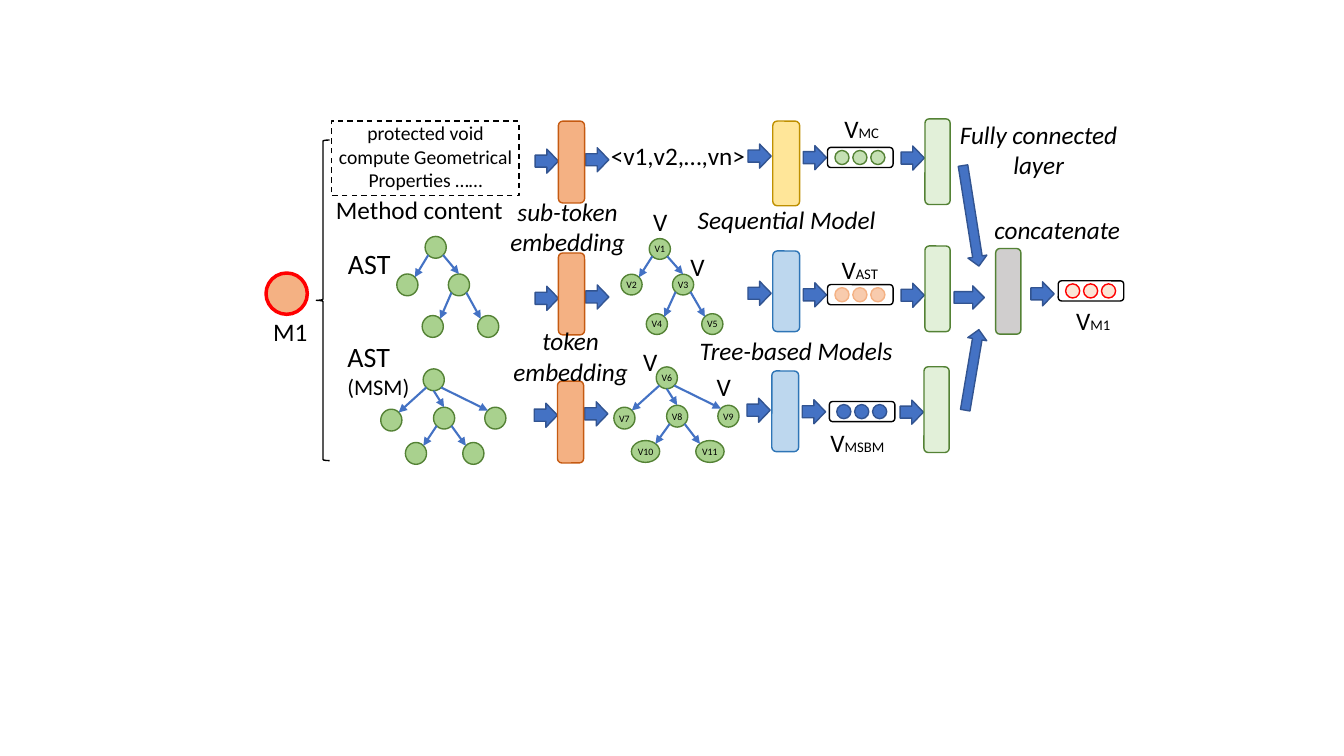
import dataclasses
import pptx
import pptx.dml.color
import pptx.enum.dml
import pptx.enum.shapes
import pptx.enum.text
import pptx.util
from pptx.oxml import parse_xml
from pptx.oxml.ns import nsdecls, qn

Pt = pptx.util.Pt
MSO = pptx.enum.shapes.MSO_SHAPE
ALIGN = pptx.enum.text.PP_ALIGN


@dataclasses.dataclass(frozen=True)
class Theme:
    font: str = "Calibri"
    text: str = "000000"
    node: tuple = ("A9D18E", "548235")
    arrow: tuple = ("4472C4", "325491")
    embed: tuple = ("F4B183", "C55A11")
    sequential: tuple = ("FFE699", "BF9000")
    tree_model: tuple = ("BDD7EE", "2E75B6")
    dense: tuple = ("E2F0D9", "548235")
    concat: tuple = ("D0CECE", "548235")
    method: tuple = ("F4B183", "FF0000")
    mc: tuple = ("C5E0B4", "548235")
    ast: tuple = ("F8CBAD", "F4B183")
    msbm: tuple = ("4472C4", "325491")
    m1: tuple = ("FBE5D6", "FF0000")
    outline: tuple = (None, "000000")
    body: float = 18
    heading: float = 20
    note: float = 16
    code: float = 14
    sub: float = 10.5
    tiny: float = 7


T = Theme()
ROOT, BL, BR, BOTTOM = None, (-.35, .35), (.35, .35), (0, .5)
TL, TR, TOP = (-.35, -.35), (.35, -.35), (0, -.5)


def rgb(value):
    return pptx.dml.color.RGBColor.from_string(value)


def write(p, text, size, align, italic=False):
    p.text = text
    p.alignment = align
    p.font.name, p.font.size, p.font.italic = T.font, Pt(size), italic
    p.font.color.rgb = rgb(T.text)


def shape(shapes, kind, box, colors, line=1, rotation=0):
    sp = shapes.add_shape(kind, *map(Pt, box))
    sp.shadow.inherit = False
    fill, edge = colors
    if fill:
        sp.fill.solid()
        sp.fill.fore_color.rgb = rgb(fill)
    else:
        sp.fill.background()
    sp.line.color.rgb = rgb(edge)
    sp.line.width = Pt(line)
    sp.rotation = rotation
    return sp


def label(s, box, *lines, sizes=(T.body,), align=ALIGN.CENTER, italic=False, sub=None):
    tf = s.shapes.add_textbox(*map(Pt, box)).text_frame
    tf.word_wrap = True
    for i, text in enumerate(lines):
        p = tf.paragraphs[0] if i == 0 else tf.add_paragraph()
        write(p, text, sizes[min(i, len(sizes) - 1)], align, italic)
    if sub:
        r = p.add_run()
        r.text = sub
        r.font.size = Pt(T.sub)


def arrow(shapes, x, y, w=16.6, h=17.2, rotation=0):
    shape(shapes, MSO.RIGHT_ARROW, (x, y, w, h), T.arrow, rotation=rotation)


def block(s, box, colors):
    shape(s.shapes, MSO.ROUNDED_RECTANGLE, box, colors)


def vector(s, x, y, colors):
    g = s.shapes.add_group_shape().shapes
    shape(g, MSO.ROUNDED_RECTANGLE, (x, y, 46.8, 14.4), T.outline)
    for i in range(3):
        shape(g, MSO.OVAL, (x + 5.3 + 12.8 * i, y + 2.2, 10.1, 10.1), colors)


def tree(s, x, y, nodes, edges, names=(), scale=1, leaf_w=15.1):
    g = s.shapes.add_group_shape().shapes
    h = 15.6 * scale
    placed = []
    for i, (cx, cy) in enumerate(nodes):
        w = leaf_w if i >= len(nodes) - 2 else 15.1
        cx, cy = x + cx, y + cy * scale
        placed.append((cx, cy, w))
        sp = shape(g, MSO.OVAL, (cx - w / 2, cy - h / 2, w, h), T.node)
        if names:
            tf = sp.text_frame
            tf.margin_left = tf.margin_right = tf.margin_top = tf.margin_bottom = Pt(1.4)
            tf.vertical_anchor = pptx.enum.text.MSO_ANCHOR.MIDDLE
            tf.word_wrap = False
            write(tf.paragraphs[0], names[i], T.tiny, ALIGN.CENTER)
    for parent, leave, child, enter in edges:
        ends = []
        for node, (dx, dy) in ((parent, leave), (child, enter)):
            cx, cy, w = placed[node]
            ends += [Pt(cx + dx * w), Pt(cy + dy * h)]
        c = g.add_connector(pptx.enum.shapes.MSO_CONNECTOR.STRAIGHT, *ends)
        c.line.color.rgb = rgb(T.arrow[0])
        c.line.width = Pt(1.5)
        c.line._get_or_add_ln().append(parse_xml(f'<a:tailEnd {nsdecls("a")} type="triangle"/>'))
        c._element.spPr.append(c._element.makeelement(qn("a:effectLst"), {}))


def ast_tree(s, x, y, names=(), scale=1):
    nodes = [(27.7, 7.5), (7.5, 34.3), (44.3, 34.3), (25.6, 64), (65.2, 64)]
    edges = [(0, BL, 1, TR), (0, BR, 2, TOP), (2, BL, 3, TR), (2, BR, 4, TL)]
    tree(s, x, y, nodes, edges, names, scale)


def msm_tree(s, x, y, leaf_offset, names=(), leaf_w=15.1):
    nodes = [(37.8, 7.8), (7.5, 36.6), (45.2, 35.2), (81.8, 35.2),
             (45.6 - leaf_offset, 60.4), (45.6 + leaf_offset, 60.4)]
    edges = [(0, BL, 1, TR), (0, BOTTOM, 2, TOP), (0, BR, 3, TL),
             (2, BL, 4, TR), (2, BR, 5, TL)]
    tree(s, x, y, nodes, edges, names, leaf_w=leaf_w)


def method(s, x, y):
    shape(s.shapes, MSO.LEFT_BRACE, (x + 38, y, 9.4, 229), T.outline)
    shape(s.shapes, MSO.OVAL, (x + 2, y + 95, 29.5, 29.5), T.method, line=2.5)
    label(s, (x, y + 122.5, 58, 28.8), "M1", align=ALIGN.LEFT)


def inputs(s, x, y):
    label(s, (x + 6.5, y, 149, 58.3), "protected void compute Geometrical Properties ……", sizes=(T.code,))
    sp = shape(s.shapes, MSO.RECTANGLE, (x + 13.7, y + 3.6, 134, 53.5), T.outline)
    sp.line.dash_style = pptx.enum.dml.MSO_LINE.DASH
    label(s, (x - 2, y + 52.5, 157, 28.8), "Method content")
    label(s, (x + 18.4, y + 90, 80, 31.7), "AST", sizes=(T.heading,), align=ALIGN.LEFT)
    ast_tree(s, x + 60.5, y + 86.4)
    label(s, (x + 18, y + 156.2, 68.4, 51), "AST", "(MSM)",
          sizes=(T.heading, T.note), align=ALIGN.LEFT)
    msm_tree(s, x + 49, y + 180.7, 20.5)


def lane(s, x, y, embed_dy, encoder_dy, dense_dy, encoder, encoder_h, cells, sub, sub_at, vector_dx=0):
    for dx, dy in ((0, 0), (36, -1), (152, -3.6), (191.5, -2.5), (261.4, -2.2)):
        arrow(s.shapes, x + dx, y + dy)
    block(s, (x + 16.6, y + embed_dy, 18.7, 58.5), T.embed)
    block(s, (x + 169.7, y + encoder_dy, 19.2, encoder_h), encoder)
    block(s, (x + 278.4, y + dense_dy, 18, 61.2), T.dense)
    vector(s, x + 208.8 + vector_dx, y - 1.2, cells)
    label(s, (x + sub_at[0], y + sub_at[1], 58.3, 28.8), "V", align=ALIGN.LEFT, sub=sub)


def embeddings(s, x, y):
    label(s, (x + 77.8, y, 118.8, 28.8), "<v1,v2,…,vn>", align=ALIGN.LEFT)
    label(s, (x, y + 40.3, 108, 51), "sub-token", "embedding", italic=True)
    label(s, (x + 2.2, y + 132.5, 108, 51), "token embedding", italic=True)
    ast_tree(s, x + 92.2, y + 74.2, ("V1", "V2", "V3", "V4", "V5"), scale=.95)
    msm_tree(s, x + 87.1, y + 165.6, 23, ("V6", "V7", "V8", "V9", "V10", "V11"), leaf_w=20.2)
    for dx, dy in ((108, 47.5), (100.8, 147.6), (134.6, 79.2), (153.4, 164.9)):
        label(s, (x + dx, y + dy, 27.4, 28.8), "V", align=ALIGN.LEFT)


def model_names(s, x, y):
    label(s, (x, y, 149, 28.8), "Sequential Model", italic=True)
    label(s, (x + 3.6, y + 93.6, 155.5, 28.8), "Tree-based Models", italic=True)


def fusion(s, x, y):
    label(s, (x, y, 170.6, 51), "Fully connected", "layer", italic=True)
    g = s.shapes.add_group_shape().shapes
    arrow(g, x + .6, y + 65.9, 72.7, 13.7, rotation=81)
    arrow(g, x + 25, y + 122.8, 21.6, 16.6)
    arrow(g, x + 8.6, y + 176, 58.3, 13.7, rotation=279.6)
    block(s, (x + 54.6, y + 96.1, 18, 61.2), T.concat)
    label(s, (x + 44.6, y + 68, 108, 28.8), "concatenate", italic=True)
    arrow(s.shapes, x + 79.8, y + 119.9)
    vector(s, x + 99.3, y + 119.2, T.m1)
    label(s, (x + 105, y + 132.8, 58.3, 28.8), "V", align=ALIGN.LEFT, sub="M1")


prs = pptx.Presentation()
prs.slide_width, prs.slide_height = Pt(960), Pt(540)
s = prs.slides.add_slide(prs.slide_layouts[6])
method(s, 188, 100)
inputs(s, 223, 82.8)
lane(s, 382.3, 106.5, -20, -20, -21.6, T.sequential, 60.5, T.mc, "MC", (213.8, -28.8))
lane(s, 382.3, 204.5, -23.8, -25.2, -28.8, T.tree_model, 57.6, T.ast, "AST", (211.7, -26.6))
lane(s, 381.6, 288, -15.8, -23, -26, T.tree_model, 57.6, T.msbm, "MSBM", (204.5, 13.7), vector_dx=2)
embeddings(s, 351.4, 96.5)
model_names(s, 487.4, 142.6)
fusion(s, 656.6, 81.4)
prs.save("out.pptx")
